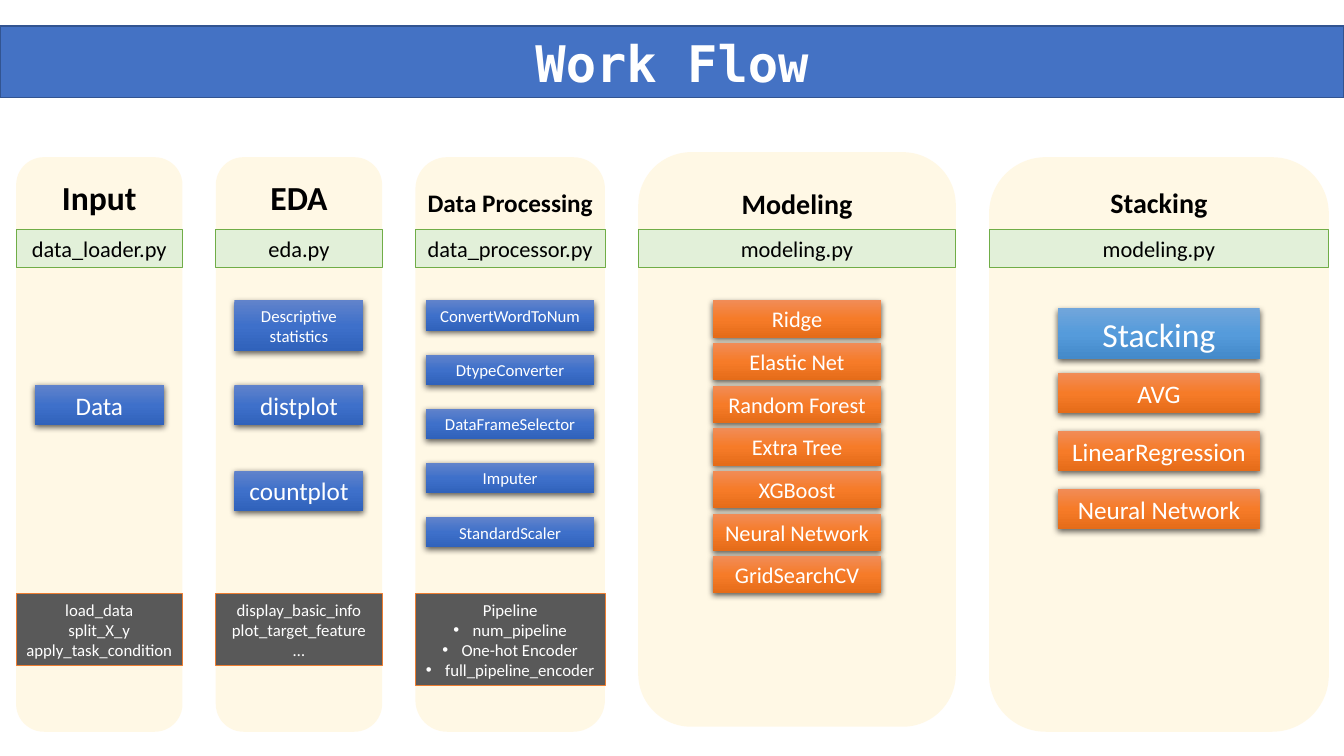
from copy import deepcopy
from dataclasses import dataclass

from pptx import Presentation
from pptx.dml.color import RGBColor
from pptx.enum import shapes, text
from pptx.oxml import parse_xml
from pptx.oxml.ns import nsdecls, qn
from pptx.util import Inches, Pt

BLUE = ("6183CB", "3E70CA", "3062BB")
ORANGE = ("F18C57", "F67B28", "E56C19")
SKY = ("71A6DB", "559BDB", "448ACA")
RECTANGLE = shapes.MSO_SHAPE.RECTANGLE
ROUNDED = shapes.MSO_SHAPE.ROUNDED_RECTANGLE


@dataclass
class Card:
    label: str
    top: float
    height: float
    size: int
    gradient: tuple[str, str, str] = BLUE


@dataclass
class Stage:
    heading: str
    module: str
    left: float
    width: float
    heading_top: float
    heading_size: int
    card_width: float
    cards: list[Card]
    functions: tuple[str, ...] = ()
    bulleted: tuple[str, ...] = ()
    panel_top: float = 1.56


def stack(labels: list[str], top: float, step: float, height: float,
          size: int, gradient: tuple[str, str, str] = BLUE) -> list[Card]:
    return [Card(label, top + i * step, height, size, gradient)
            for i, label in enumerate(labels)]


STAGES = [
    Stage("Input", "data_loader.py", 0.16, 1.65, 1.71, 24, 1.28,
          [Card("Data", 3.82, 0.4, 18)],
          ("load_data", "split_X_y", "apply_task_condition")),
    Stage("EDA", "eda.py", 2.14, 1.65, 1.71, 24, 1.28,
          [Card("Descriptive statistics", 2.98, 0.5, 12),
           *stack(["distplot", "countplot"], 3.82, 0.85, 0.4, 18)],
          ("display_basic_info", "plot_target_feature", "…")),
    Stage("Data Processing", "data_processor.py", 4.12, 1.88, 1.81, 18, 1.67,
          stack(["ConvertWordToNum", "DtypeConverter", "DataFrameSelector",
                 "Imputer", "StandardScaler"], 2.98, 0.538, 0.3, 12),
          ("Pipeline",),
          ("num_pipeline", "One-hot Encoder", "full_pipeline_encoder")),
    Stage("Modeling", "modeling.py", 6.33, 3.15, 1.8, 20, 1.67,
          stack(["Ridge", "Elastic Net", "Random Forest", "Extra Tree", "XGBoost",
                 "Neural Network", "GridSearchCV"], 2.98, 0.423, 0.37, 16, ORANGE),
          panel_top=1.51),
    Stage("Stacking", "modeling.py", 9.81, 3.37, 1.79, 20, 2,
          [Card("Stacking", 3.06, 0.5, 24, SKY),
           *stack(["AVG", "LinearRegression", "Neural Network"],
                  3.7, 0.575, 0.4, 18, ORANGE)]),
]


def color(value: str) -> RGBColor:
    return RGBColor.from_string(value)


def write(shape, *lines: str, size: int, fill: str = "FFFFFF",
          font: str = "Calibri", bold: bool = False) -> None:
    frame = shape.text_frame
    frame.word_wrap = True
    frame.auto_size = text.MSO_AUTO_SIZE.NONE
    frame.vertical_anchor = text.MSO_ANCHOR.MIDDLE
    frame.margin_left = frame.margin_right = Inches(0.05)
    frame.margin_top = frame.margin_bottom = Inches(0.05)
    frame.text = "\n".join(lines)
    for paragraph in frame.paragraphs:
        paragraph.alignment = text.PP_ALIGN.CENTER
        for run in paragraph.runs:
            run.font.name = font
            run.font.size = Pt(size)
            run.font.bold = bold
            run.font.color.rgb = color(fill)


def paint(shape, fill: str, line: str | None = None, weight: float = 0.5) -> None:
    shape.fill.solid()
    shape.fill.fore_color.rgb = color(fill)
    if line:
        shape.line.color.rgb = color(line)
        shape.line.width = Pt(weight)
    else:
        shape.line.fill.background()


def add_box(slide, kind, left: float, top: float, width: float, height: float):
    shape = slide.shapes.add_shape(kind, Inches(left), Inches(top),
                                   Inches(width), Inches(height))
    shape.shadow.inherit = False
    return shape


def add_card(slide, card: Card, left: float, width: float) -> None:
    shape = add_box(slide, RECTANGLE, left, card.top, width, card.height)
    shape.line.fill.background()
    shape.fill.gradient()
    shape.fill.gradient_angle = 270
    # A new gradient has two stops; the card needs a third
    stop_list = next(shape._element.spPr.iter(qn("a:gsLst")))
    stop_list.insert(1, deepcopy(stop_list[0]))
    for i, (stop, value) in enumerate(zip(shape.fill.gradient_stops, card.gradient)):
        stop.position = i / 2
        stop.color.rgb = color(value)
    shape._element.spPr.find(qn("a:effectLst")).append(parse_xml(
        f'<a:outerShdw {nsdecls("a")} blurRad="57150" dist="19050" dir="5400000" '
        'algn="ctr" rotWithShape="0"><a:srgbClr val="000000">'
        '<a:alpha val="63000"/></a:srgbClr></a:outerShdw>'))
    write(shape, card.label, size=card.size)


def add_bullet(paragraph) -> None:
    properties = paragraph._p.get_or_add_pPr()
    properties.set("marL", str(Inches(0.19)))
    properties.set("indent", str(-Inches(0.19)))
    properties.append(parse_xml(f'<a:buFont {nsdecls("a")} typeface="Arial"/>'))
    properties.append(parse_xml(f'<a:buChar {nsdecls("a")} char="•"/>'))


def add_stage(slide, stage: Stage) -> None:
    # Translucent panel
    panel = add_box(slide, ROUNDED, stage.left, stage.panel_top, stage.width, 5.7)
    paint(panel, "FFF2CC")
    next(panel._element.spPr.iter(qn("a:srgbClr"))).append(
        parse_xml(f'<a:alpha {nsdecls("a")} val="50000"/>'))

    # Heading and module name
    heading_height = {18: 0.4, 20: 0.44, 24: 0.5}[stage.heading_size]
    heading = slide.shapes.add_textbox(Inches(stage.left), Inches(stage.heading_top),
                                       Inches(stage.width), Inches(heading_height))
    write(heading, stage.heading, size=stage.heading_size, fill="000000", bold=True)
    module = add_box(slide, RECTANGLE, stage.left, 2.28, stage.width, 0.37)
    paint(module, "E2F0D9", "70AD47")
    write(module, stage.module, size=16, fill="000000")

    # Cards centred in the panel
    card_left = stage.left + (stage.width - stage.card_width) / 2
    for card in stage.cards:
        add_card(slide, card, card_left, stage.card_width)

    # Function list
    lines = stage.functions + stage.bulleted
    if lines:
        listing = add_box(slide, RECTANGLE, stage.left, 5.89, stage.width,
                          0.11 + 0.2 * len(lines))
        paint(listing, "595959", "ED7D31")
        write(listing, *lines, size=12)
        for paragraph in listing.text_frame.paragraphs[len(stage.functions):]:
            add_bullet(paragraph)


def main() -> None:
    presentation = Presentation()
    presentation.slide_width = Inches(13.33)
    presentation.slide_height = Inches(7.5)
    slide = presentation.slides.add_slide(presentation.slide_layouts[5])

    # Title band
    title = slide.shapes.title
    title.left, title.top = Inches(0), Inches(0.26)
    title.width, title.height = Inches(13.33), Inches(0.71)
    paint(title, "4472C4", "325491", 1)
    write(title, "Work Flow", size=36, font="DejaVu Sans Mono", bold=True)

    for stage in STAGES:
        add_stage(slide, stage)
    presentation.save("out.pptx")


if __name__ == "__main__":
    main()
